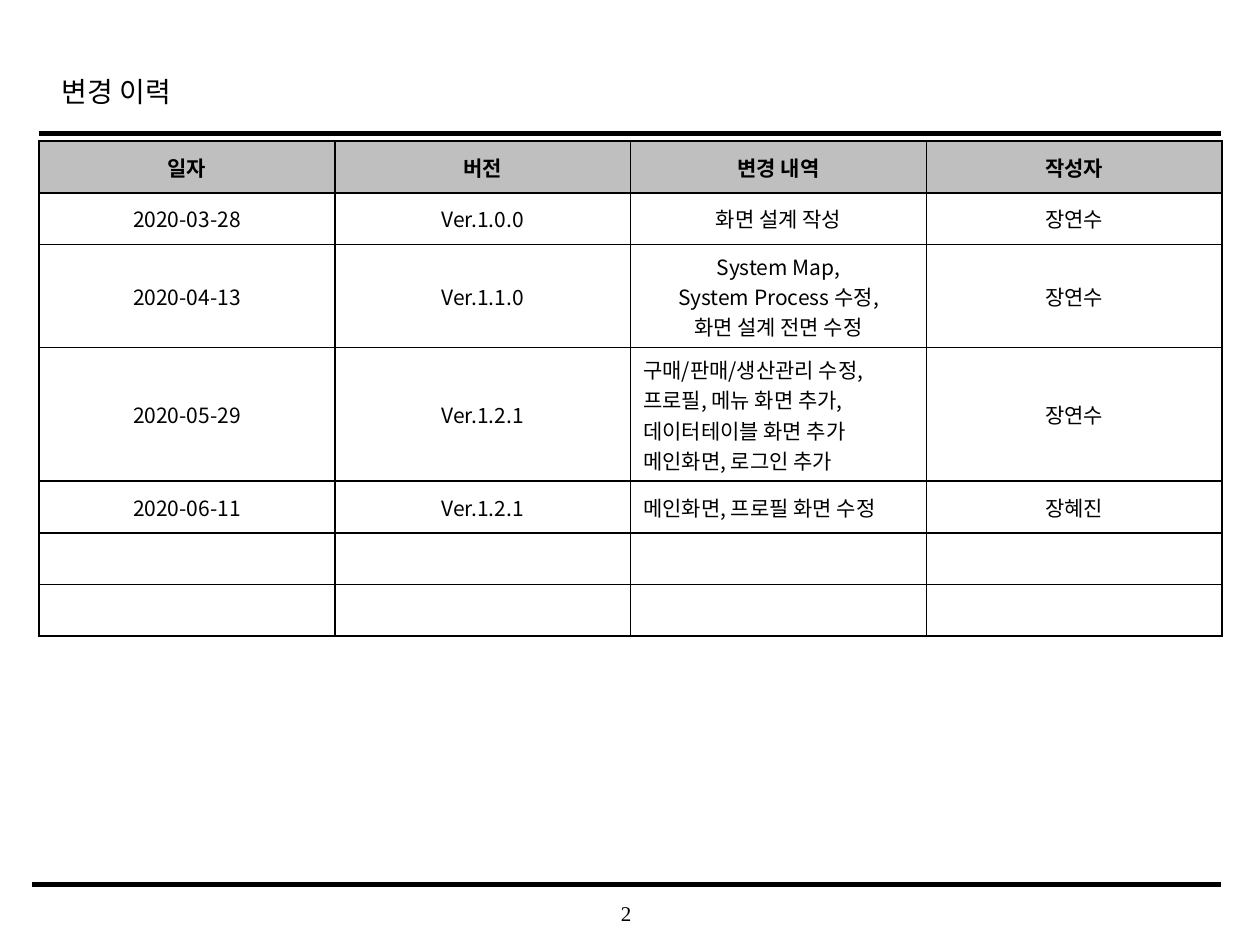
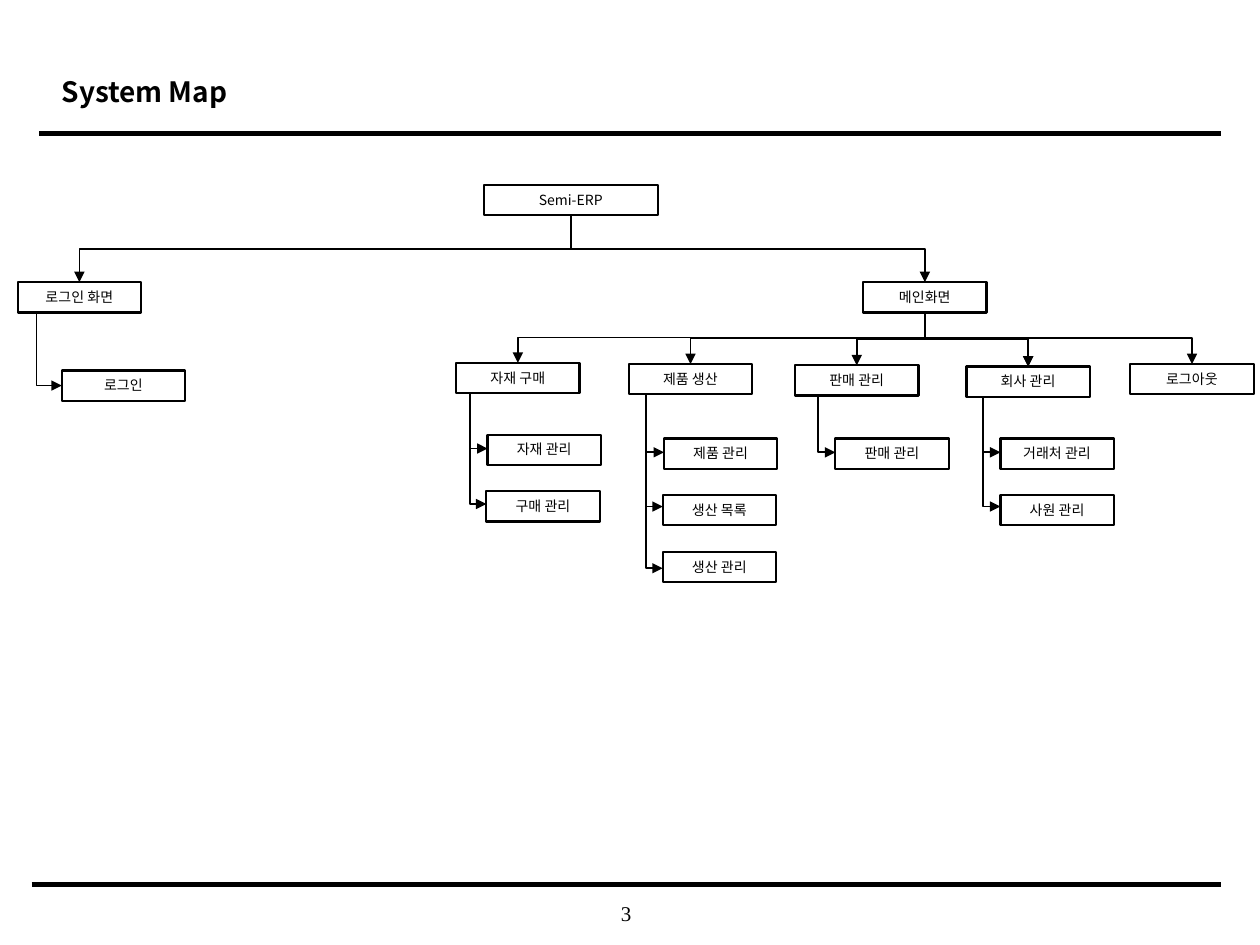
"""Builds a change history slide and a system map slide."""
from lxml import etree
from pptx import Presentation
from pptx.dml.color import RGBColor
from pptx.enum.shapes import MSO_CONNECTOR, MSO_SHAPE
from pptx.enum.text import MSO_ANCHOR, MSO_AUTO_SIZE, PP_ALIGN
from pptx.oxml.ns import qn
from pptx.util import Inches, Pt

LEFT, CENTER = PP_ALIGN.LEFT, PP_ALIGN.CENTER
TOP, MIDDLE = MSO_ANCHOR.TOP, MSO_ANCHOR.MIDDLE
STRAIGHT, ELBOW = MSO_CONNECTOR.STRAIGHT, MSO_CONNECTOR.ELBOW
RECT, FIXED = MSO_SHAPE.RECTANGLE, MSO_AUTO_SIZE.NONE
BLACK, WHITE, GRAY = "000000", "FFFFFF", "BFBFBF"
SANS, SERIF = "Noto Sans CJK KR", "Times New Roman"


def ink(fill, color):
    """Give a fill one solid colour."""
    fill.solid()
    fill.fore_color.rgb = RGBColor.from_string(color)


def write(frame, text, size, align=CENTER, bold=False, face=SANS):
    """Fill a text frame with lines in one style."""
    frame.text = text
    for par in frame.paragraphs:
        par.alignment = align
        par.font.size = Pt(size)
        par.font.bold = bold
        par.font.name = face
        ink(par.font.fill, BLACK)
        style = par._p.pPr.find(qn("a:defRPr"))
        etree.SubElement(style, qn("a:ea")).set("typeface", face)


prs = Presentation()
prs.slide_width, prs.slide_height = Inches(10), Inches(7.5)

for num, (name, bold) in enumerate([("변경 이력", False), ("System Map", True)], 2):
    slide = prs.slides.add_slide(prs.slide_layouts[5])
    title = slide.shapes.title
    title.left, title.top = Inches(0.39), Inches(0.49)
    title.width, title.height = Inches(7.55), Inches(0.5)
    frame = title.text_frame
    frame.auto_size, frame.vertical_anchor = FIXED, TOP
    write(frame, name, 16, LEFT, bold)
    frame.paragraphs[0].line_spacing = 1.2
    for left, top, width in [(0.31, 1.06, 2.5), (0.25, 7.02, 3)]:
        rule = slide.shapes.add_connector(
            STRAIGHT, Inches(left), Inches(top), Inches(9.69), Inches(top))
        rule.line.width = Pt(width)
    foot = slide.shapes.add_textbox(
        Inches(3.93), Inches(7.08), Inches(2.08), Inches(0.33)).text_frame
    foot.word_wrap, foot.vertical_anchor = True, MIDDLE
    foot.margin_left = foot.margin_right = foot.margin_top = foot.margin_bottom = 0
    write(foot, str(num), 12, face=SERIF)

log, chart = prs.slides

rows = [
    ("일자", "버전", "변경 내역", "작성자"),
    ("2020-03-28", "Ver.1.0.0", "화면 설계 작성", "장연수"),
    ("2020-04-13", "Ver.1.1.0",
     "System Map,\nSystem Process 수정,\n화면 설계 전면 수정", "장연수"),
    ("2020-05-29", "Ver.1.2.1",
     "구매/판매/생산관리 수정,\n프로필, 메뉴 화면 추가,\n"
     "데이터테이블 화면 추가\n메인화면, 로그인 추가", "장연수"),
    ("2020-06-11", "Ver.1.2.1", "메인화면, 프로필 화면 수정", "장혜진"),
    ("",) * 4,
    ("",) * 4,
]
table = log.shapes.add_table(
    len(rows), 4, Inches(0.31), Inches(1.12), Inches(9.39), Inches(2.87)).table
table.horz_banding = False
for r, row in enumerate(rows):
    count = row[2].count("\n") + 1
    table.rows[r].height = Inches(max(0.41, 0.1 + 0.24 * count))
    for c, text in enumerate(row):
        cell = table.cell(r, c)
        cell.vertical_anchor = MIDDLE
        align = LEFT if c == 2 and r > 2 else CENTER
        write(cell.text_frame, text, 12, align, r == 0)
        for side in ("lnL", "lnR", "lnT", "lnB"):
            edge = etree.SubElement(cell._tc.get_or_add_tcPr(), qn("a:" + side), w="12700")
            paint = etree.SubElement(edge, qn("a:solidFill"))
            etree.SubElement(paint, qn("a:srgbClr"), val=BLACK)
        ink(cell.fill, GRAY if r == 0 else WHITE)

boxes = [
    ("Semi-ERP", 3.84, 1.47, 1.38),
    ("로그인 화면", 0.14, 2.24, 0.98),
    ("메인화면", 6.85, 2.24, 0.98),
    ("자재 구매", 3.62, 2.88, 0.98),
    ("제품 생산", 4.99, 2.89, 0.98),
    ("판매 관리", 6.31, 2.9, 0.98),
    ("회사 관리", 7.67, 2.91, 0.98),
    ("로그아웃", 8.97, 2.89, 0.98),
    ("로그인", 0.49, 2.94, 0.98),
    ("자재 관리", 3.87, 3.45, 0.9),
    ("구매 관리", 3.86, 3.9, 0.9),
    ("제품 관리", 5.27, 3.48, 0.9),
    ("생산 목록", 5.26, 3.93, 0.9),
    ("생산 관리", 5.26, 4.38, 0.9),
    ("판매 관리", 6.63, 3.48, 0.9),
    ("거래처 관리", 7.94, 3.48, 0.9),
    ("사원 관리", 7.94, 3.93, 0.9),
]
nodes = []
for text, left, top, width in boxes:
    box = chart.shapes.add_shape(
        RECT, Inches(left), Inches(top), Inches(width), Inches(0.24))
    box.shadow.inherit = False
    box.fill.background()
    ink(box.line.fill, BLACK)
    box.line.width = Pt(1.25)
    box.text_frame.vertical_anchor = TOP
    write(box.text_frame, text, 8)
    nodes.append(box)

links = []
for start, ends in [(0, (1, 2)), (2, (3, 4, 5, 6, 7))]:
    head = nodes[start]
    for end in ends:
        kid = nodes[end]
        links.append((head.left + head.width // 2, head.top + head.height,
                      kid.left + kid.width // 2, kid.top, "bentConnector3", head, kid))

stems = [
    (1, 0.29, [(8, 3.06)]),
    (3, 3.73, [(9, 3.56), (10, 4)]),
    (4, 5.13, [(11, 3.59), (12, 4.02), (13, 4.51)]),
    (5, 6.49, [(14, 3.59)]),
    (6, 7.8, [(15, 3.59), (16, 4.02)]),
]
for start, left, tips in stems:
    head = nodes[start]
    for end, tip in tips:
        links.append((Inches(left), head.top + head.height,
                      nodes[end].left, Inches(tip), "bentConnector2", None, None))

arrows = []
for x1, y1, x2, y2, kind, head, kid in links:
    arrow = chart.shapes.add_connector(ELBOW, x1, y1, x2, y2)
    if head:
        arrow.begin_connect(head, 2)
        arrow.end_connect(kid, 0)
    wide, high = abs(x2 - x1), y2 - y1
    arrow.left, arrow.top = (x1 + x2 - high) // 2, (y1 + y2 - wide) // 2
    arrow.width, arrow.height = high, wide
    props = arrow.element.spPr
    props.find(qn("a:prstGeom")).set("prst", kind)
    frame = props.find(qn("a:xfrm"))
    frame.set("rot", str((270 if x2 > x1 else 90) * 60000))
    frame.set("flipH", "1" if x2 > x1 else "0")
    arrows.append(arrow)

drop = chart.shapes.add_connector(
    STRAIGHT, Inches(8.16), Inches(2.69), Inches(8.16), Inches(2.91))
drop.end_connect(nodes[6], 0)
arrows.append(drop)

for arrow in arrows:
    arrow.line.width = Pt(1)
    etree.SubElement(arrow.element.spPr.find(qn("a:ln")), qn("a:tailEnd"), type="triangle")

for slide in prs.slides:
    for shape in slide.shapes:
        if shape.element.tag == qn("p:cxnSp"):
            ink(shape.line.fill, BLACK)
            etree.SubElement(shape.element.spPr, qn("a:effectLst"))

prs.save("out.pptx")
